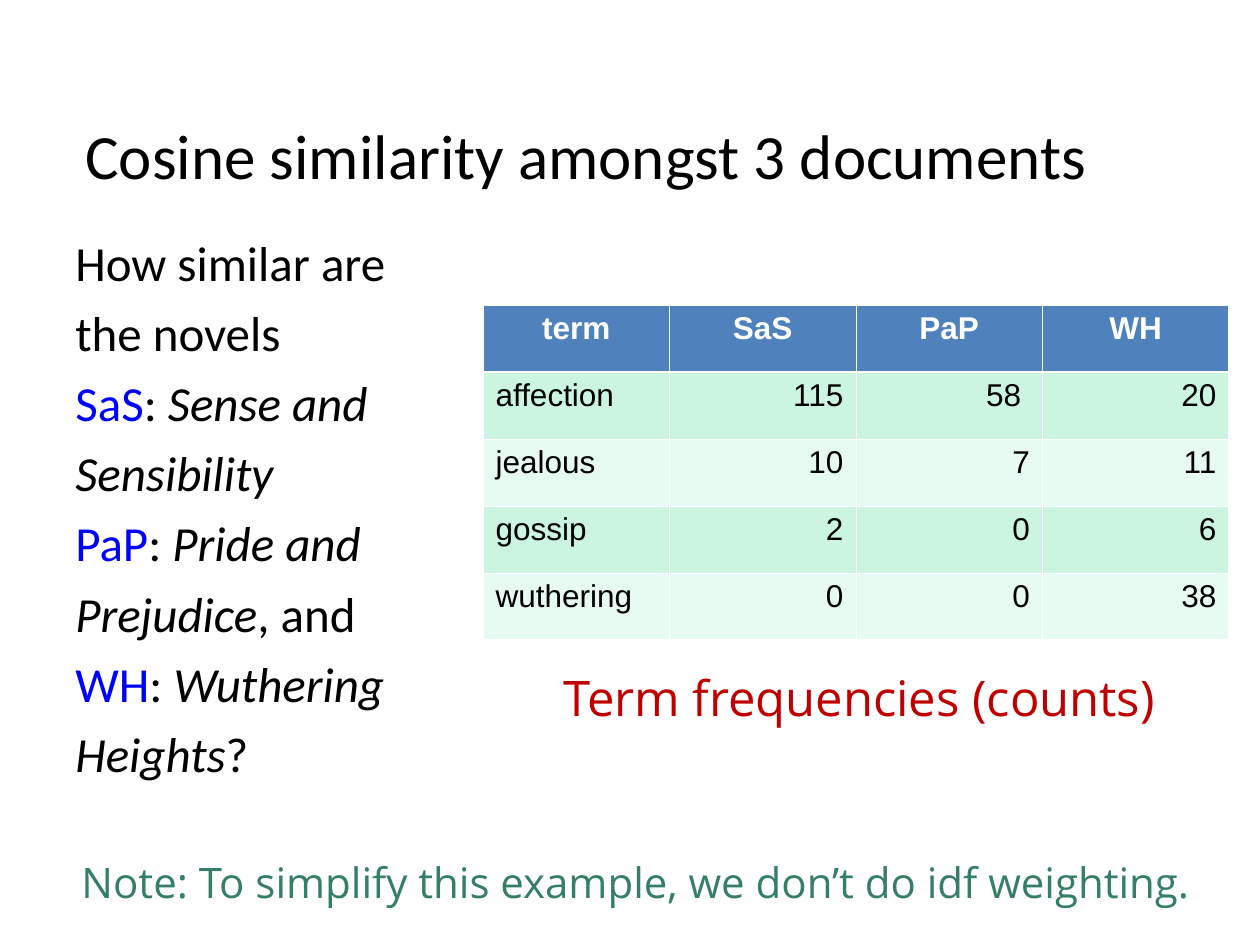
from lxml import etree
from pptx import Presentation, util as u
from pptx.dml.color import RGBColor
from pptx.enum import text
from pptx.oxml.ns import qn

PX = u.Inches(1) // 126
BLACK = RGBColor(0x00, 0x00, 0x00)
WHITE = RGBColor(0xFF, 0xFF, 0xFF)
BLUE = RGBColor(0x00, 0x00, 0xFF)
RED = RGBColor(0xC0, 0x00, 0x00)
GREEN = RGBColor(0x35, 0x7E, 0x69)
HEADER = RGBColor(0x4F, 0x81, 0xBD)
BANDS = [RGBColor(0xCB, 0xF5, 0xE1), RGBColor(0xE7, 0xFA, 0xF1)]

# Content: each body line is a list of (text, colour, italic) runs
TITLE = "Cosine similarity amongst 3 documents"
BODY = [
    [("How similar are", BLACK, False)],
    [("the novels", BLACK, False)],
    [("SaS", BLUE, False), (": ", BLACK, False), ("Sense and", BLACK, True)],
    [("Sensibility", BLACK, True)],
    [("PaP", BLUE, False), (": ", BLACK, False), ("Pride and", BLACK, True)],
    [("Prejudice", BLACK, True), (", and", BLACK, False)],
    [("WH", BLUE, False), (": ", BLACK, False), ("Wuthering", BLACK, True)],
    [("Heights", BLACK, True), ("?", BLACK, False)],
]
COUNTS = [
    ("term", "SaS", "PaP", "WH"),
    ("affection", "115", "58 ", "20"),
    ("jealous", "10", "7", "11"),
    ("gossip", "2", "0", "6"),
    ("wuthering", "0", "0", "38"),
]
CAPTION = "Term frequencies (counts)"
NOTE = "Note: To simplify this example, we don’t do idf weighting."


def style(font, name, size, color, bold=False, italic=False):
    font.name, font.size = name, u.Pt(size)
    font.color.rgb = color
    font.bold, font.italic = bold, italic


def add_box(s, box, wrap=True):
    tf = s.shapes.add_textbox(*(v * PX for v in box)).text_frame
    tf.word_wrap = wrap
    return tf


def add_line(s, box, words, name, size, color, wrap=True):
    tf = add_box(s, box, wrap)
    tf.text = words
    style(tf.paragraphs[0].runs[0].font, name, size, color)
    return tf


def set_borders(cell, widths):
    """Draw white cell edges; they must come before the fill."""
    tc_pr = cell._tc.get_or_add_tcPr()
    for i, (side, width) in enumerate(widths.items()):
        ln = etree.Element(qn("a:ln" + side), w=str(u.Pt(width)))
        fill = etree.SubElement(ln, qn("a:solidFill"))
        etree.SubElement(fill, qn("a:srgbClr"), val=str(WHITE))
        tc_pr.insert(i, ln)


def add_counts(s, box):
    frame = s.shapes.add_table(len(COUNTS), len(COUNTS[0]), *(v * PX for v in box))
    for i, row in enumerate(COUNTS):
        head = i == 0
        for j, value in enumerate(row):
            cell = frame.table.cell(i, j)
            cell.text = value
            cell.fill.solid()
            cell.fill.fore_color.rgb = HEADER if head else BANDS[(i - 1) % 2]
            set_borders(cell, {"L": 0.45, "R": 0.45,
                               "T": 1.47 if i == 1 else 0.45,
                               "B": 1.47 if head else 0.45})
            p = cell.text_frame.paragraphs[0]
            if head:
                p.alignment = text.PP_ALIGN.CENTER
            else:
                p.alignment = text.PP_ALIGN.RIGHT if j else text.PP_ALIGN.LEFT
            style(p.runs[0].font, "Arial", 18, WHITE if head else BLACK, bold=head)


def main():
    prs = Presentation()
    prs.slide_width, prs.slide_height = 1260 * PX, 945 * PX
    s = prs.slides.add_slide(prs.slide_layouts[6])

    # Title
    tf = add_line(s, (73, 38, 1187, 160), TITLE, "Calibri", 36, BLACK)
    tf.vertical_anchor = text.MSO_ANCHOR.BOTTOM

    # Term counts
    add_counts(s, (483, 305, 746, 335))

    # Novels
    tf = add_box(s, (63, 226, 415, 646))
    for i, runs in enumerate(BODY):
        p = tf.add_paragraph() if i else tf.paragraphs[0]
        if i:
            p.space_before = u.Pt(6.5)
        for words, color, italic in runs:
            r = p.add_run()
            r.text = words
            style(r.font, "Calibri", 28, color, italic=italic)

    # Caption and note
    add_line(s, (551, 661, 625, 72), CAPTION, "Open Sans", 28, RED, wrap=False)
    add_line(s, (69, 850, 1157, 63), NOTE, "Open Sans", 24, GREEN, wrap=False)

    prs.save("out.pptx")


if __name__ == "__main__":
    main()
